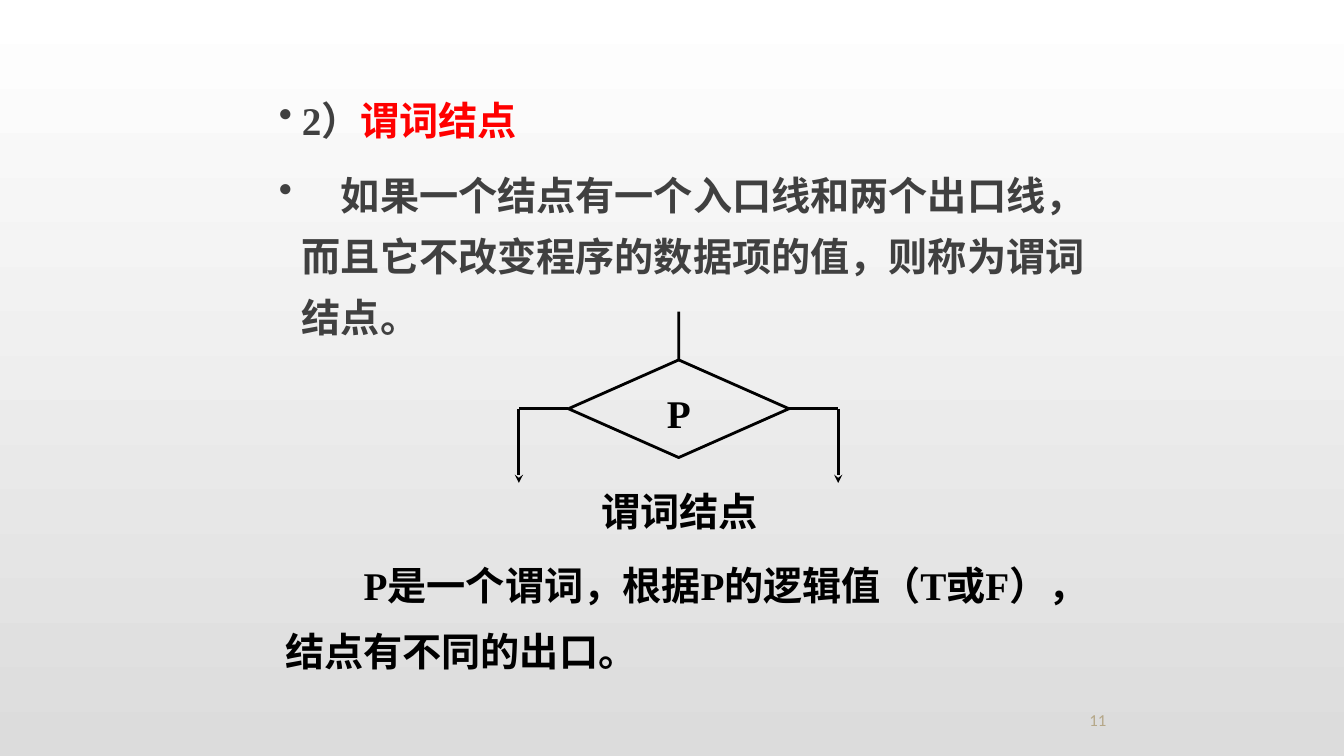
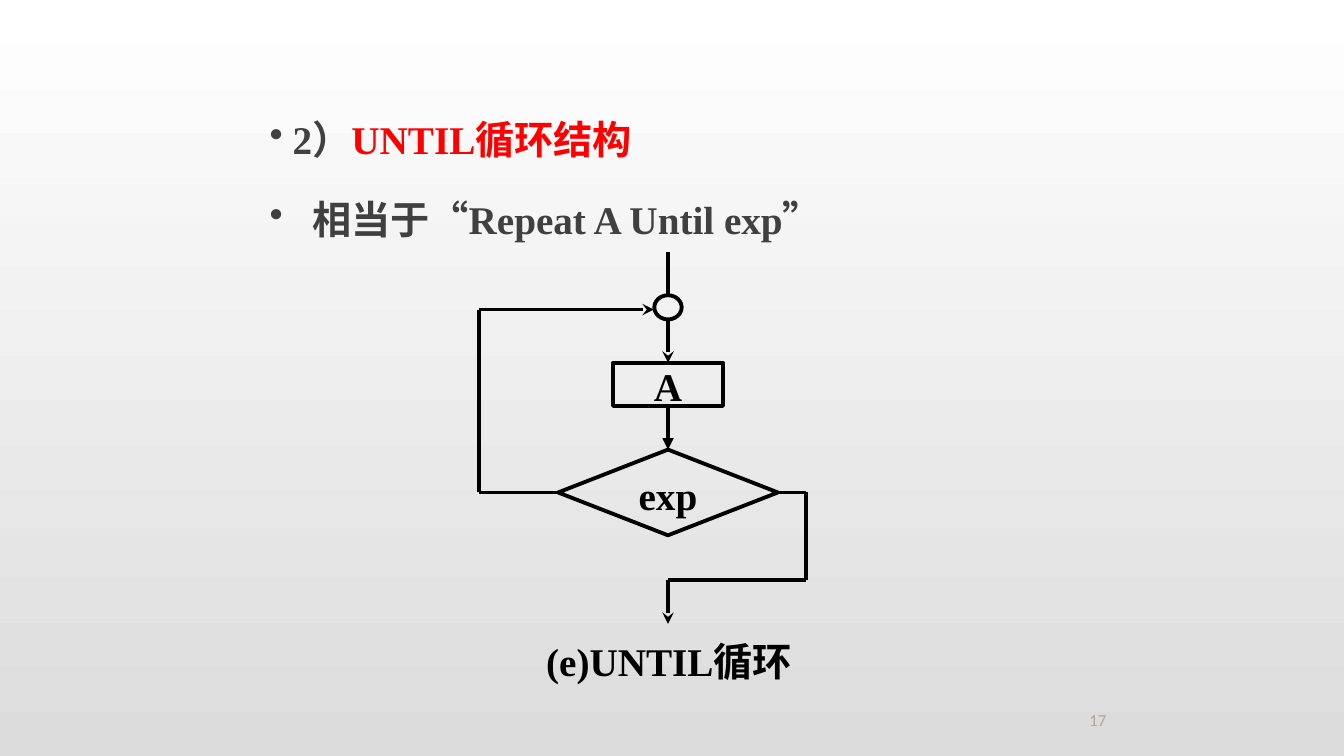
from lxml import etree
from pptx import Presentation
from pptx.dml.color import RGBColor
from pptx.enum.shapes import MSO_CONNECTOR, MSO_SHAPE
from pptx.enum.text import MSO_ANCHOR, PP_ALIGN
from pptx.oxml.ns import qn
from pptx.util import Cm, Pt

LINE = MSO_CONNECTOR.STRAIGHT
BOX = MSO_SHAPE.RECTANGLE
OVAL = MSO_SHAPE.OVAL
TEST = MSO_SHAPE.FLOWCHART_DECISION
TOP, BOTTOM = MSO_ANCHOR.TOP, MSO_ANCHOR.BOTTOM
LEFT, CENTER = PP_ALIGN.LEFT, PP_ALIGN.CENTER

BLACK, GREY, RED, TAN = "000000", "404040", "FF0000", "B5A788"
WASH = ("FFFFFF", "DCDCDC")
SERIF, SANS = "Times New Roman", "Calibri"
PAD, FLAT, THIN = (0.25, 0.13), (0, 0), (0, 0.13)
HANG = 0.58
PAGE = (23.93, 17.63, 7.49, 0.89)

MID1, MID2 = 17.11, 16.84

SLIDES = [
    {
        "page": "11",
        "body": (6.78, 1.93, 20.96, 6.99),
        "space": 1.3,
        "items": [
            (HANG, [("2）", GREY), ("谓词结点", RED)]),
            (HANG, [("　如果一个结点有一个入口线和两个出口线，而且它不改变程序的数据项的值，则称为谓词结点。", GREY)]),
        ],
        "note": ((7.19, 13.54, 20.55, 3.58), "P是一个谓词，根据P的逻辑值（T或F），结点有不同的出口。"),
        "label": ((14.35, 12.29, 5.56, 1.22), "谓词结点"),
        "width": 2,
        "pad": PAD,
        "nodes": {"test": (TEST, MID1, 9.07, 5.56, 2.46, "P")},
        "flows": [
            ([(MID1, 7.85), ("test", 0)], None),
            ([("test", 1), (13.08, 10.3), (13.08, 12.17)], "stealth"),
            ([("test", 3), (21.13, 10.3), (21.13, 12.17)], "stealth"),
        ],
    },
    {
        "page": "17",
        "body": (6.55, 2.31, 18.21, 4.01),
        "space": 1.4,
        "items": [
            (HANG, [("2）", GREY), ("UNTIL循环结构", RED)]),
            (1.07, [("相当于“Repeat A Until exp”", GREY)]),
        ],
        "note": None,
        "label": ((13.41, 16.05, 6.91, 1.09), "(e)UNTIL循环"),
        "width": 2.75,
        "pad": FLAT,
        "nodes": {
            "join": (OVAL, MID2, 7.44, 0.69, 0.61, ""),
            "step": (BOX, MID2, 9.14, 2.77, 1.09, "A"),
            "test": (TEST, MID2, 11.33, 5.54, 2.16, "exp"),
        },
        "flows": [
            ([(MID2, 6.35), (MID2, 7.44)], None),
            ([(MID2, 8.05), ("step", 0)], "stealth"),
            ([("step", 2), ("test", 0)], "triangle"),
            ([("test", 1), (12.07, 12.41), (12.07, 7.8), (16.48, 7.8)], "stealth"),
            ([("test", 3), (20.32, 12.41), (20.32, 14.61), (MID2, 14.61), (MID2, 15.72)], "stealth"),
        ],
    },
]


def color(code):
    return RGBColor.from_string(code)


def style(para, tint=BLACK, size=28, face=SERIF, bold=True):
    font = para.font
    font.size, font.name, font.bold = Pt(size), face, bold
    font.color.rgb = color(tint)


def set_frame(shape, pad, anchor=TOP):
    frame = shape.text_frame
    frame.word_wrap = True
    frame.vertical_anchor = anchor
    frame.margin_left = frame.margin_right = Cm(pad[0])
    frame.margin_top = frame.margin_bottom = Cm(pad[1])
    return frame


def add_text(slide, area, text, pad, align=CENTER, anchor=TOP, **look):
    box = slide.shapes.add_textbox(*map(Cm, area))
    para = set_frame(box, pad, anchor).paragraphs[0]
    para.text, para.alignment = text, align
    style(para, **look)
    return para


def add_list(slide, area, space, items):
    frame = set_frame(slide.shapes.add_textbox(*map(Cm, area)), PAD)
    for i, (hang, runs) in enumerate(items):
        para = frame.add_paragraph() if i else frame.paragraphs[0]
        para.line_spacing, para.space_after = space, Pt(10)
        props = para._p.get_or_add_pPr()
        props.set("marL", str(Cm(hang)))
        props.set("indent", str(-Cm(hang)))
        tint = etree.SubElement(props, qn("a:buClr"))
        etree.SubElement(tint, qn("a:srgbClr")).set("val", GREY)
        etree.SubElement(props, qn("a:buChar")).set("char", "•")
        style(para, GREY)
        for text, code in runs:
            run = para.add_run()
            run.text = text
            run.font.color.rgb = color(code)


def add_node(slide, node, width, pad):
    kind, mid, top, wide, high, text = node
    shape = slide.shapes.add_shape(kind, *map(Cm, (mid - wide / 2, top, wide, high)))
    shape.shadow.inherit = False
    shape.fill.background()
    shape.line.color.rgb = color(BLACK)
    shape.line.width = Pt(width)
    if text:
        para = set_frame(shape, pad).paragraphs[0]
        para.text, para.alignment = text, CENTER
        style(para)
    return shape


def place(point, nodes):
    if point[0] not in nodes:
        return point
    _, mid, top, wide, high, _ = nodes[point[0]]
    dx, dy = [(0, 0), (-0.5, 0.5), (0, 1), (0.5, 0.5)][point[1]]
    return mid + dx * wide, top + dy * high


def add_flow(slide, points, head, width, nodes, shapes):
    pairs = list(zip(points, points[1:]))
    for i, (start, end) in enumerate(pairs):
        ends = place(start, nodes) + place(end, nodes)
        line = slide.shapes.add_connector(LINE, *map(Cm, ends))
        if start[0] in shapes:
            line.begin_connect(shapes[start[0]], start[1])
        if end[0] in shapes:
            line.end_connect(shapes[end[0]], end[1])
        line.line.color.rgb = color(BLACK)
        line.line.width = Pt(width)
        props = line._element.spPr
        if head and i == len(pairs) - 1:
            etree.SubElement(props.find(qn("a:ln")), qn("a:tailEnd")).set("type", head)
        etree.SubElement(props, qn("a:effectLst"))


def add_slide(deck, data):
    slide = deck.slides.add_slide(deck.slide_layouts[6])
    add_list(slide, data["body"], data["space"], data["items"])
    if data["note"]:
        para = add_text(slide, *data["note"], THIN, LEFT)
        para.line_spacing = 1.4
        para._p.get_or_add_pPr().set("indent", str(Cm(1.98)))
    nodes, width = data["nodes"], data["width"]
    shapes = {name: add_node(slide, node, width, data["pad"]) for name, node in nodes.items()}
    for points, head in data["flows"]:
        add_flow(slide, points, head, width, nodes, shapes)
    add_text(slide, *data["label"], FLAT)
    add_text(slide, PAGE, data["page"], PAD, anchor=BOTTOM, tint=TAN, size=12, face=SANS, bold=False)


def main():
    deck = Presentation()
    deck.slide_width, deck.slide_height = Cm(33.88), Cm(19.05)
    fill = deck.slide_master.background.fill
    fill.gradient()
    fill.gradient_angle = 270
    for stop, code, spot in zip(fill.gradient_stops, WASH, (0, 1)):
        stop.color.rgb = color(code)
        stop.position = spot
    for data in SLIDES:
        add_slide(deck, data)
    deck.save("out.pptx")


if __name__ == "__main__":
    main()
